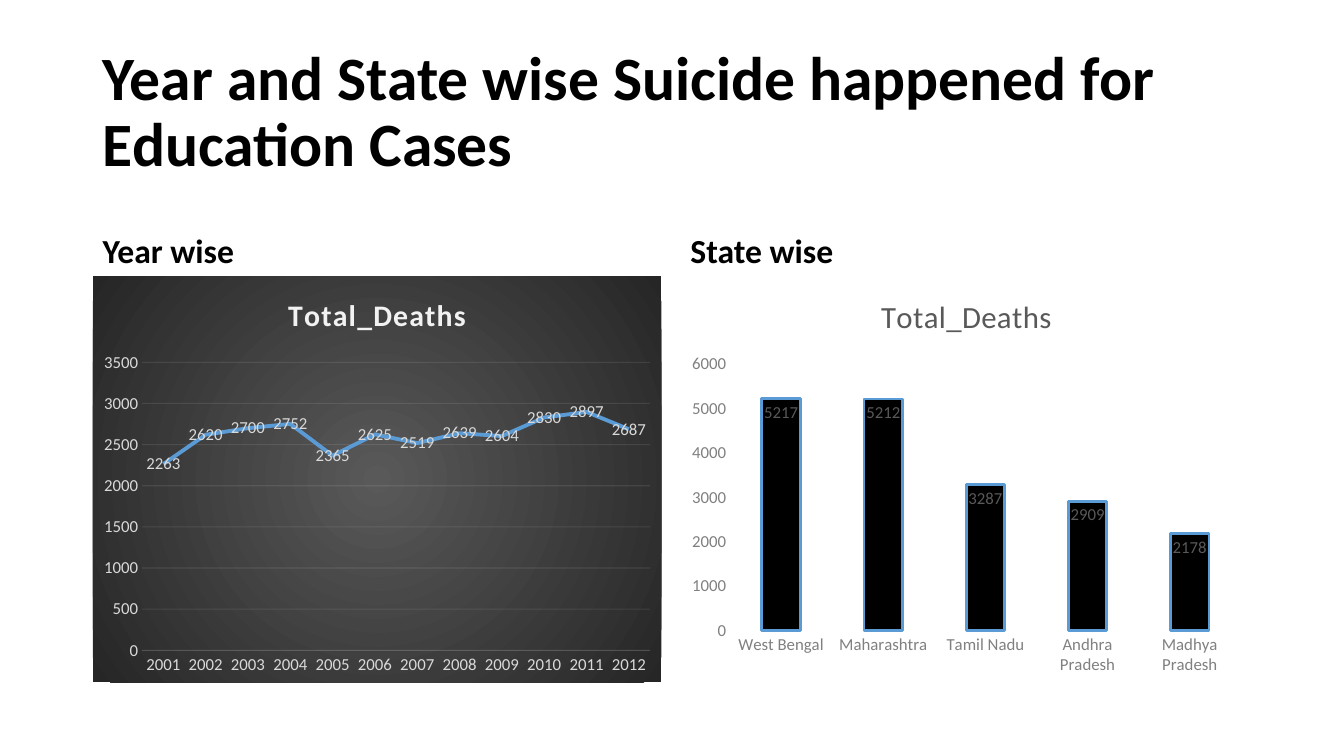
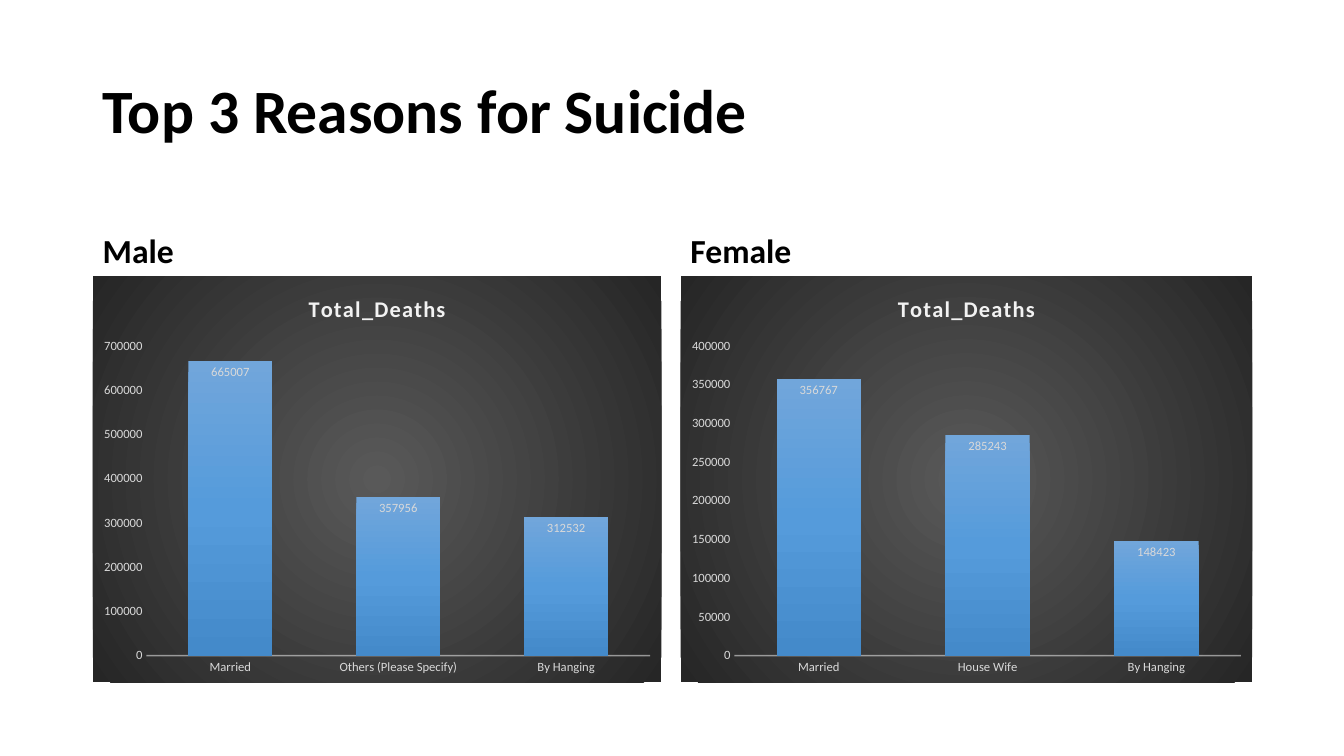
"""Build two slides that compare death counts in paired charts."""
from dataclasses import dataclass

from pptx import Presentation, util as u
from pptx.chart.data import CategoryChartData
from pptx.dml.color import RGBColor
from pptx.enum import chart as ch, text
from pptx.oxml import parse_xml
from pptx.oxml.ns import nsdecls

FONT = "Calibri"
BLACK = RGBColor(0, 0, 0)
BLUE = RGBColor(0x5B, 0x9B, 0xD5)
PALE = RGBColor(0xF2, 0xF2, 0xF2)
MIST = RGBColor(0xD9, 0xD9, 0xD9)
GREY = RGBColor(0x80, 0x80, 0x80)
SLATE = RGBColor(0x59, 0x59, 0x59)
COAL = RGBColor(0x26, 0x26, 0x26)
SHADES = RGBColor(0x71, 0xA6, 0xDB), RGBColor(0x55, 0x9B, 0xDB), RGBColor(0x44, 0x8A, 0xCA)
GLOW = ('<a:path path="circle"><a:fillToRect l="50000" t="50000" '
        'r="50000" b="50000"/></a:path>')
DOWN = '<a:lin ang="5400000" scaled="0"/>'
COLS = (0.92, 5.64), (6.75, 5.67)
HEAD = 1.84, 0.9
PLOT = 2.74, 4.03


@dataclass
class Look:
    """Style of one chart."""
    size: float
    title: float
    dark: bool = True
    rule: float = 0
    alpha: int = 0
    gap: int = 100
    lap: int = -24


LINE = Look(12, 21.3, rule=0.75, alpha=10)
PLAIN = Look(12, 22, dark=False, gap=164, lap=-35)
BARS = Look(9, 16, rule=1, alpha=54)


def style(font, size, ink, bold=False):
    """Set the four shared font traits."""
    font.name, font.size, font.bold = FONT, u.Pt(size), bold
    font.color.rgb = ink


def blend(inks, way):
    """Return a gradient fill with evenly spaced stops."""
    step = 100000 // (len(inks) - 1)
    stops = "".join(f'<a:gs pos="{i * step}"><a:srgbClr val="{ink}"/></a:gs>'
                    for i, ink in enumerate(inks))
    return parse_xml(f'<a:gradFill {nsdecls("a")} rotWithShape="1">'
                     f'<a:gsLst>{stops}</a:gsLst>{way}</a:gradFill>')


def stroke(line, ink, width, alpha=100):
    """Draw a line, partly see-through if asked."""
    line.color.rgb, line.width = ink, u.Pt(width)
    if alpha < 100:
        tone = line.fill._xPr.find(".//{*}srgbClr")
        tone.append(parse_xml(f'<a:alpha {nsdecls("a")} val="{alpha * 1000}"/>'))


class Deck:
    """Holds the presentation and the current slide."""

    def __init__(self):
        """Start a wide, empty deck."""
        self.prs = Presentation()
        self.prs.slide_width, self.prs.slide_height = u.Inches(13.33), u.Inches(7.5)

    def page(self, title):
        """Add a slide and place its title."""
        self.slide = self.prs.slides.add_slide(self.prs.slide_layouts[5])
        box = self.slide.shapes.title
        box.left, box.top, box.width, box.height = map(u.Inches, (0.92, 0.4, 11.5, 1.45))
        self.label(box, title, 44, text.MSO_ANCHOR.MIDDLE)

    def label(self, box, words, size, anchor):
        """Fill a box with one bold line of text."""
        frame = box.text_frame
        frame.text, frame.word_wrap = words, True
        frame.auto_size, frame.vertical_anchor = text.MSO_AUTO_SIZE.NONE, anchor
        par = frame.paragraphs[0]
        par.alignment, par.line_spacing = text.PP_ALIGN.LEFT, 0.9
        style(par.font, size, BLACK, True)

    def cell(self, col, row):
        """Return left, top, width and height of a grid cell."""
        (left, wide), (top, high) = COLS[col], row
        return [u.Inches(n) for n in (left, top, wide, high)]

    def head(self, col, words):
        """Add the heading above a chart."""
        box = self.slide.shapes.add_textbox(*self.cell(col, HEAD))
        self.label(box, words, 24, text.MSO_ANCHOR.BOTTOM)

    def plot(self, col, head, look, data):
        """Add a heading with its chart of counts."""
        self.head(col, head)
        kind = ch.XL_CHART_TYPE.LINE if look is LINE else ch.XL_CHART_TYPE.COLUMN_CLUSTERED
        feed = CategoryChartData()
        feed.categories = list(data)
        feed.add_series("Total_Deaths", list(data.values()))
        chart = self.slide.shapes.add_chart(kind, *self.cell(col, PLOT), feed).chart
        chart.has_legend = False
        style(chart.font, 10, BLACK)
        if look.dark:
            back = parse_xml(f'<c:spPr {nsdecls("c", "a")}><a:ln><a:noFill/></a:ln></c:spPr>')
            back.insert(0, blend((SLATE, COAL), GLOW))
            chart._chartSpace.chart.addnext(back)
        self.name(chart, look)
        self.axes(chart, look)
        self.marks(chart.plots[0], look)

    def name(self, chart, look):
        """Set the chart title."""
        chart.has_title = True
        frame = chart.chart_title.text_frame
        frame.text = "Total_Deaths"
        run = frame.paragraphs[0].runs[0]
        style(run.font, look.title, PALE if look.dark else SLATE, look.dark)
        run._r.get_or_add_rPr().set("spc", "100" if look.dark else "40")

    def axes(self, chart, look):
        """Format both axes and the grid."""
        for axis in chart.category_axis, chart.value_axis:
            axis.major_tick_mark = axis.minor_tick_mark = ch.XL_TICK_MARK.NONE
            axis.has_major_gridlines = False
            axis.format.line.fill.background()
            style(axis.tick_labels.font, look.size, MIST if look.dark else GREY)
        if look.rule:
            stroke(chart.category_axis.format.line, PALE, look.rule, look.alpha)
        if look is LINE:
            chart.value_axis.has_major_gridlines = True
            grid = chart.value_axis.major_gridlines.format.line
            stroke(grid, PALE, look.rule, look.alpha)

    def marks(self, plot, look):
        """Format the series and its labels."""
        plot.vary_by_categories = False
        row = plot.series[0]
        tags = row.data_labels
        tags.show_value = True
        style(tags.font, look.size, MIST if look.dark else SLATE)
        if look is LINE:
            tags.position = ch.XL_LABEL_POSITION.CENTER
            row.smooth = False
            row.marker.style = ch.XL_MARKER_STYLE.NONE
            stroke(row.format.line, BLUE, 2.75)
            return
        tags.position = ch.XL_LABEL_POSITION.INSIDE_END
        plot.gap_width, plot.overlap = look.gap, look.lap
        if look.dark:
            row._element.get_or_add_spPr().insert(0, blend(SHADES, DOWN))
        else:
            row.format.fill.solid()
            row.format.fill.fore_color.rgb = BLACK
            stroke(row.format.line, BLUE, 2)


def main():
    """Build and save the deck."""
    deck = Deck()
    deck.page("Year and State wise Suicide happened for Education Cases")
    years = (2263, 2620, 2700, 2752, 2365, 2625, 2519, 2639, 2604, 2830, 2897, 2687)
    deck.plot(0, "Year wise", LINE, {str(y): n for y, n in enumerate(years, 2001)})
    deck.plot(1, "State wise", PLAIN, {
        "West Bengal": 5217, "Maharashtra": 5212, "Tamil Nadu": 3287,
        "Andhra Pradesh": 2909, "Madhya Pradesh": 2178})
    deck.page("Top 3 Reasons for Suicide")
    deck.plot(0, "Male", BARS, {
        "Married": 665007, "Others (Please Specify)": 357956, "By Hanging": 312532})
    deck.plot(1, "Female", BARS, {
        "Married": 356767, "House Wife": 285243, "By Hanging": 148423})
    deck.prs.save("out.pptx")


if __name__ == "__main__":
    main()
